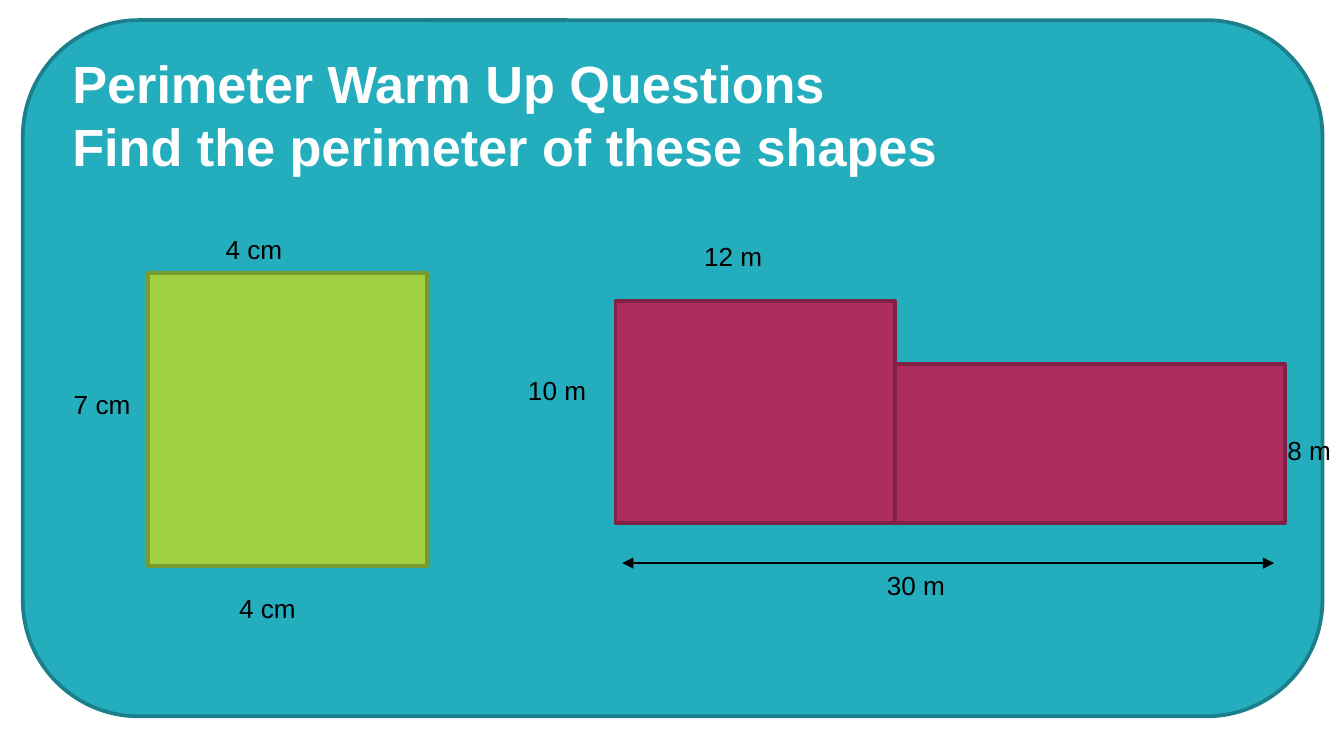
from lxml import etree
from pptx import Presentation
from pptx.dml.color import RGBColor
from pptx.enum.shapes import MSO_CONNECTOR, MSO_SHAPE
from pptx.enum.text import MSO_ANCHOR
from pptx.oxml.ns import qn
from pptx.util import Inches, Pt

RECTANGLE = MSO_SHAPE.RECTANGLE
ROUNDED = MSO_SHAPE.ROUNDED_RECTANGLE
STRAIGHT = MSO_CONNECTOR.STRAIGHT
TOP = MSO_ANCHOR.TOP

FONT = "Arial"
BLACK, WHITE = "000000", "FFFFFF"
TEAL, DARK_TEAL = "24ADBD", "1B808C"
GREEN, DARK_GREEN = "A2D242", "789B31"
BERRY, DARK_BERRY = "AE2D5F", "812146"

LABEL_SIZE = (0.65, 0.34)
LABELS = [
    ("4 cm", 1.58, 1.69),
    ("7 cm", 0.45, 2.84),
    ("4 cm", 1.68, 4.36),
    ("12 m", 5.14, 1.74),
    ("10 m", 3.83, 2.74),
    ("30 m", 6.5, 4.19),
    ("8 m", 9.48, 3.18),
]


def color(hex_code):
    return RGBColor.from_string(hex_code)


def add_block(shapes, kind, box, fill, outline):
    block = shapes.add_shape(kind, *map(Inches, box))
    block.shadow.inherit = False
    block.fill.solid()
    block.fill.fore_color.rgb = color(fill)
    block.line.color.rgb = color(outline)
    block.line.width = Pt(2)


def add_text(shapes, text, box, size, text_color, bold=False):
    """Add a top-anchored text box and return its text frame."""
    frame = shapes.add_textbox(*map(Inches, box)).text_frame
    frame.word_wrap = True
    frame.vertical_anchor = TOP
    paragraph = frame.paragraphs[0]
    paragraph.text = text
    for run in paragraph.runs:
        run.font.name = FONT
        run.font.size = Pt(size)
        run.font.bold = bold
        run.font.color.rgb = color(text_color)
    return frame


def add_title(shapes, text):
    frame = add_text(shapes, text, (0.44, 0.28, 7.8, 0.63), 28, WHITE, bold=True)
    frame.margin_top = frame.margin_bottom = Inches(0.1)


def add_dimension_arrow(shapes, left, right, y):
    arrow = shapes.add_connector(STRAIGHT, Inches(left), Inches(y), Inches(right), Inches(y))
    arrow.line.color.rgb = color(BLACK)
    arrow.line.width = Pt(0.75)
    properties = arrow._element.spPr
    outline = properties.find(qn("a:ln"))
    for end in ("a:headEnd", "a:tailEnd"):
        etree.SubElement(outline, qn(end), type="triangle")
    etree.SubElement(properties, qn("a:effectLst"))


def add_l_shape(shapes):
    """Two grouped rectangles sharing a side and a base line."""
    parts = shapes.add_group_shape().shapes
    left, middle, right, base = 4.58, 6.66, 9.56, 3.89
    for start, end, top in ((left, middle, 2.24), (middle, right, 2.71)):
        add_block(parts, RECTANGLE, (start, top, end - start, base - top), BERRY, DARK_BERRY)


def main():
    deck = Presentation()
    deck.slide_width = Inches(10)
    deck.slide_height = deck.slide_width * 9 // 16
    shapes = deck.slides.add_slide(deck.slide_layouts[6]).shapes

    add_block(shapes, ROUNDED, (0.17, 0.15, 9.67, 5.18), TEAL, DARK_TEAL)
    add_title(shapes, "Perimeter Warm Up Questions\vFind the perimeter of these shapes")
    add_block(shapes, RECTANGLE, (1.1, 2.03, 2.08, 2.18), GREEN, DARK_GREEN)
    add_l_shape(shapes)
    add_dimension_arrow(shapes, 4.63, 9.48, 4.19)
    for text, left, top in LABELS:
        add_text(shapes, text, (left, top, *LABEL_SIZE), 14, BLACK)

    deck.save("out.pptx")


if __name__ == "__main__":
    main()
